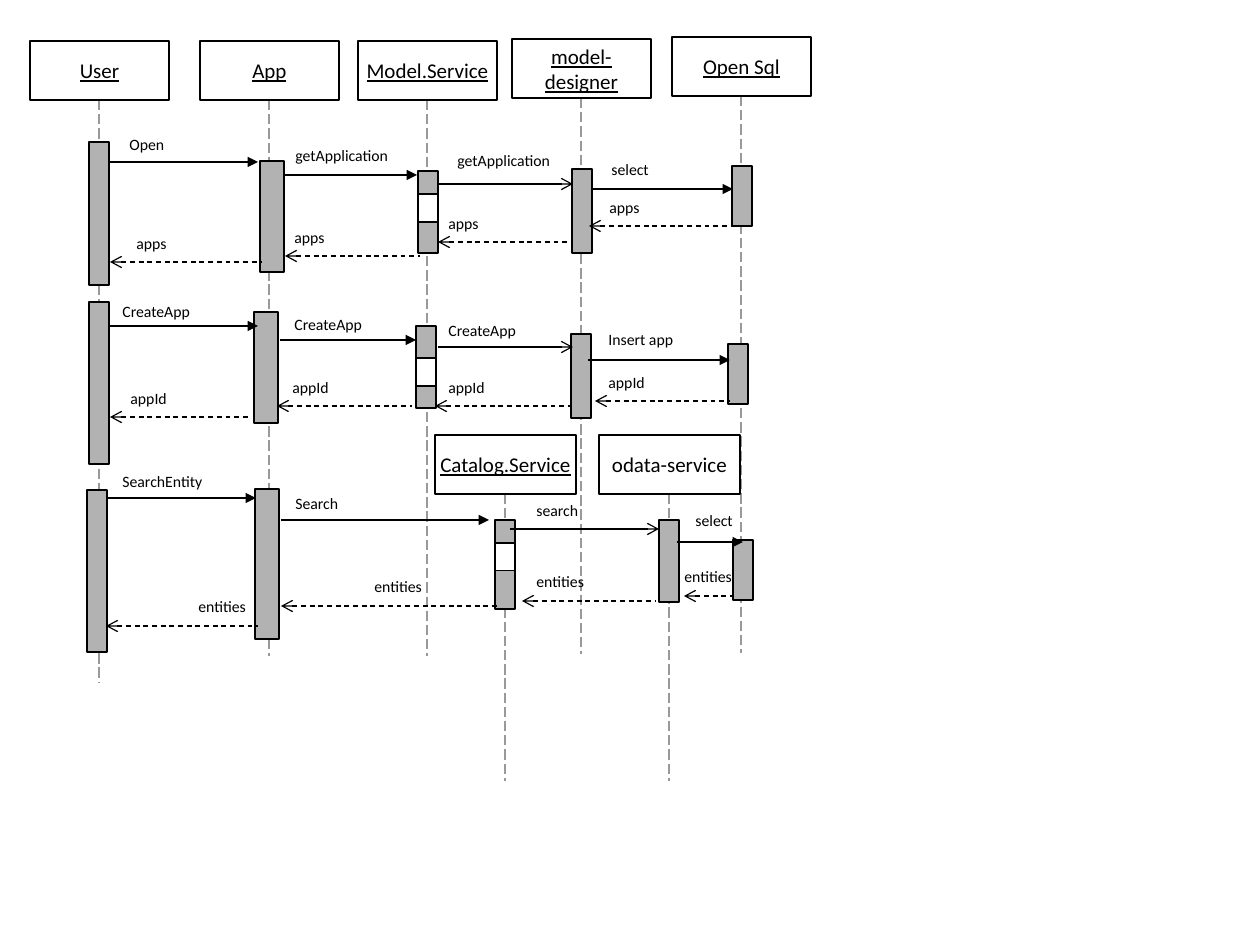
from dataclasses import dataclass
from enum import Enum

from pptx import Presentation
from pptx.dml.color import RGBColor as Rgb
from pptx.enum.dml import MSO_LINE_DASH_STYLE as Dash
from pptx.enum.shapes import MSO_CONNECTOR_TYPE as ConnectorType, MSO_SHAPE as Preset
from pptx.enum.text import MSO_ANCHOR as Anchor, MSO_AUTO_SIZE as AutoSize, PP_ALIGN as Align
from pptx.oxml.ns import qn
from pptx.shapes.autoshape import Shape
from pptx.shapes.connector import Connector
from pptx.slide import Slide
from pptx.text.text import TextFrame
from pptx.util import Emu, Pt

EMU_PER_PIXEL = 914400 / 126


@dataclass(frozen=True)
class Theme:
    """Colours, font and sizes shared by the diagram."""
    ink: Rgb = Rgb(0, 0, 0)
    paper: Rgb = Rgb(255, 255, 255)
    active: Rgb = Rgb(0xB2, 0xB2, 0xB2)
    lifeline: Rgb = Rgb(0x99, 0x99, 0x99)
    font: str = "Calibri"
    participant_size: float = 12
    message_size: float = 9
    box_line: float = 1.4
    thin_line: float = 0.7
    lifeline_line: float = 0.75


THEME = Theme()


class Kind(Enum):
    """Arrow end tag, arrowhead type and dash of each message kind."""
    CALL = ("a:tailEnd", "triangle", None)
    ASYNC = ("a:tailEnd", "arrow", None)
    REPLY = ("a:headEnd", "arrow", Dash.DASH)


@dataclass(frozen=True)
class Participant:
    """A named box with a lifeline down from its middle."""
    name: str
    left: int
    top: int
    life_end: int
    width: int = 139
    height: int = 59
    underlined: bool = True


@dataclass(frozen=True)
class Activation:
    """A bar on a lifeline, with an optional idle gap at an offset."""
    left: int
    top: int
    height: int
    width: int = 20
    gap: int = 0


@dataclass(frozen=True)
class Message:
    """A horizontal arrow with a label whose top lies a rise above it."""
    label: str
    kind: Kind
    left: int
    right: int
    y: int
    label_left: int
    rise: int = 34
    label_width: int = 134


PARTICIPANTS = [
    Participant("User", 30, 41, 683),
    Participant("App", 200, 41, 656),
    Participant("Model.Service", 358, 41, 656),
    Participant("model-designer", 512, 39, 654),
    Participant("Open Sql", 672, 37, 653),
    Participant("Catalog.Service", 435, 435, 781, width=141),
    Participant("odata-service", 599, 435, 781, width=141, underlined=False),
]
ACTIVATIONS = [
    Activation(89, 142, 143),
    Activation(260, 161, 111, width=24),
    Activation(418, 171, 82, gap=23),
    Activation(572, 169, 84),
    Activation(732, 166, 60),
    Activation(89, 302, 162),
    Activation(254, 312, 111, width=24),
    Activation(416, 326, 82, gap=32),
    Activation(571, 334, 84),
    Activation(728, 344, 60),
    Activation(87, 490, 162),
    Activation(255, 489, 150, width=24),
    Activation(495, 520, 89, gap=23),
    Activation(659, 520, 82),
    Activation(733, 540, 60),
]
MESSAGES = [
    Message("Open", Kind.CALL, 110, 258, 162, 117, 33),
    Message("getApplication", Kind.CALL, 284, 417, 175, 283, 35),
    Message("getApplication", Kind.ASYNC, 438, 573, 184, 445, 39),
    Message("select", Kind.CALL, 592, 733, 189, 599, 35),
    Message("apps", Kind.REPLY, 589, 737, 226, 597),
    Message("apps", Kind.REPLY, 438, 573, 242, 436),
    Message("apps", Kind.REPLY, 285, 420, 256, 282),
    Message("apps", Kind.REPLY, 110, 262, 262, 124),
    Message("CreateApp", Kind.CALL, 110, 258, 326, 110, 30),
    Message("CreateApp", Kind.CALL, 280, 416, 340, 282, 31),
    Message("CreateApp", Kind.ASYNC, 438, 573, 347, 436, 32),
    Message("Insert app", Kind.CALL, 588, 730, 360, 596, 36),
    Message("appId", Kind.REPLY, 595, 730, 401, 596),
    Message("appId", Kind.REPLY, 435, 570, 406, 436),
    Message("appId", Kind.REPLY, 277, 412, 406, 280),
    Message("appId", Kind.REPLY, 110, 251, 417, 118),
    Message("SearchEntity", Kind.CALL, 107, 256, 498, 110, 32),
    Message("Search", Kind.CALL, 281, 489, 520, 283, 32, 111),
    Message("search", Kind.ASYNC, 510, 659, 529, 524),
    Message("select", Kind.CALL, 677, 743, 542, 683, 37),
    Message("entities", Kind.REPLY, 684, 732, 596, 672, 35, 77),
    Message("entities", Kind.REPLY, 522, 656, 601, 524, 35),
    Message("entities", Kind.REPLY, 281, 499, 606, 362, 35),
    Message("entities", Kind.REPLY, 106, 258, 626, 186, 35, 76),
]


def px(pixels: int) -> Emu:
    """Turn pixels into EMU."""
    return Emu(round(pixels * EMU_PER_PIXEL))


def write(frame: TextFrame, text: str, size: float, underlined: bool = False) -> None:
    """Set wrapped text in the theme font."""
    frame.word_wrap = True
    frame.text = text
    font = frame.paragraphs[0].runs[0].font
    font.name, font.size, font.color.rgb = THEME.font, Pt(size), THEME.ink
    if underlined:
        font.underline = True


def draw_rect(slide: Slide, left: int, top: int, width: int, height: int,
              fill: Rgb, weight: float) -> Shape:
    """Draw an outlined rectangle."""
    rect = slide.shapes.add_shape(Preset.RECTANGLE, px(left), px(top), px(width), px(height))
    rect.shadow.inherit = False
    rect.fill.solid()
    rect.fill.fore_color.rgb = fill
    rect.line.color.rgb, rect.line.width = THEME.ink, Pt(weight)
    return rect


def draw_line(slide: Slide, start: tuple[int, int], end: tuple[int, int],
              color: Rgb, weight: float, dash: Dash | None) -> Connector:
    """Draw a straight connector without a shadow."""
    link = slide.shapes.add_connector(
        ConnectorType.STRAIGHT, *(px(length) for length in (*start, *end)))
    link.line.color.rgb, link.line.width = color, Pt(weight)
    if dash is not None:
        link.line.dash_style = dash
    shape_properties = link._element.spPr
    shape_properties.append(shape_properties.makeelement(qn("a:effectLst"), {}))
    return link


def draw_participant(slide: Slide, who: Participant) -> None:
    """Draw a participant box and its lifeline."""
    middle, bottom = who.left + who.width // 2, who.top + who.height
    draw_line(slide, (middle, bottom), (middle, who.life_end),
              THEME.lifeline, THEME.lifeline_line, Dash.LONG_DASH)
    frame = draw_rect(slide, who.left, who.top, who.width, who.height,
                      THEME.paper, THEME.box_line).text_frame
    frame.margin_left = frame.margin_right = frame.margin_top = frame.margin_bottom = px(5)
    frame.vertical_anchor = Anchor.MIDDLE
    write(frame, who.name, THEME.participant_size, who.underlined)
    frame.paragraphs[0].alignment = Align.CENTER


def draw_activation(slide: Slide, bar: Activation) -> None:
    """Draw an activation bar and its idle gap."""
    draw_rect(slide, bar.left, bar.top, bar.width, bar.height, THEME.active, THEME.thin_line)
    if bar.gap:
        draw_rect(slide, bar.left, bar.top + bar.gap, bar.width, 28, THEME.paper, THEME.thin_line)


def draw_message(slide: Slide, message: Message) -> None:
    """Draw a message arrow and its label."""
    end_tag, head, dash = message.kind.value
    arrow = draw_line(slide, (message.left, message.y), (message.right, message.y),
                      THEME.ink, THEME.thin_line, dash)
    outline = arrow._element.spPr.find(qn("a:ln"))
    outline.append(outline.makeelement(qn(end_tag), {"type": head}))
    label = slide.shapes.add_textbox(px(message.label_left), px(message.y - message.rise),
                                     px(message.label_width), px(32))
    write(label.text_frame, message.label, THEME.message_size)
    label.text_frame.auto_size = AutoSize.SHAPE_TO_FIT_TEXT


def main() -> None:
    """Build the sequence diagram and save it."""
    deck = Presentation()
    deck.slide_width, deck.slide_height = px(1260), px(945)
    slide = deck.slides.add_slide(deck.slide_layouts[6])
    for who in PARTICIPANTS:
        draw_participant(slide, who)
    for bar in ACTIVATIONS:
        draw_activation(slide, bar)
    for message in MESSAGES:
        draw_message(slide, message)
    deck.save("out.pptx")


main()
